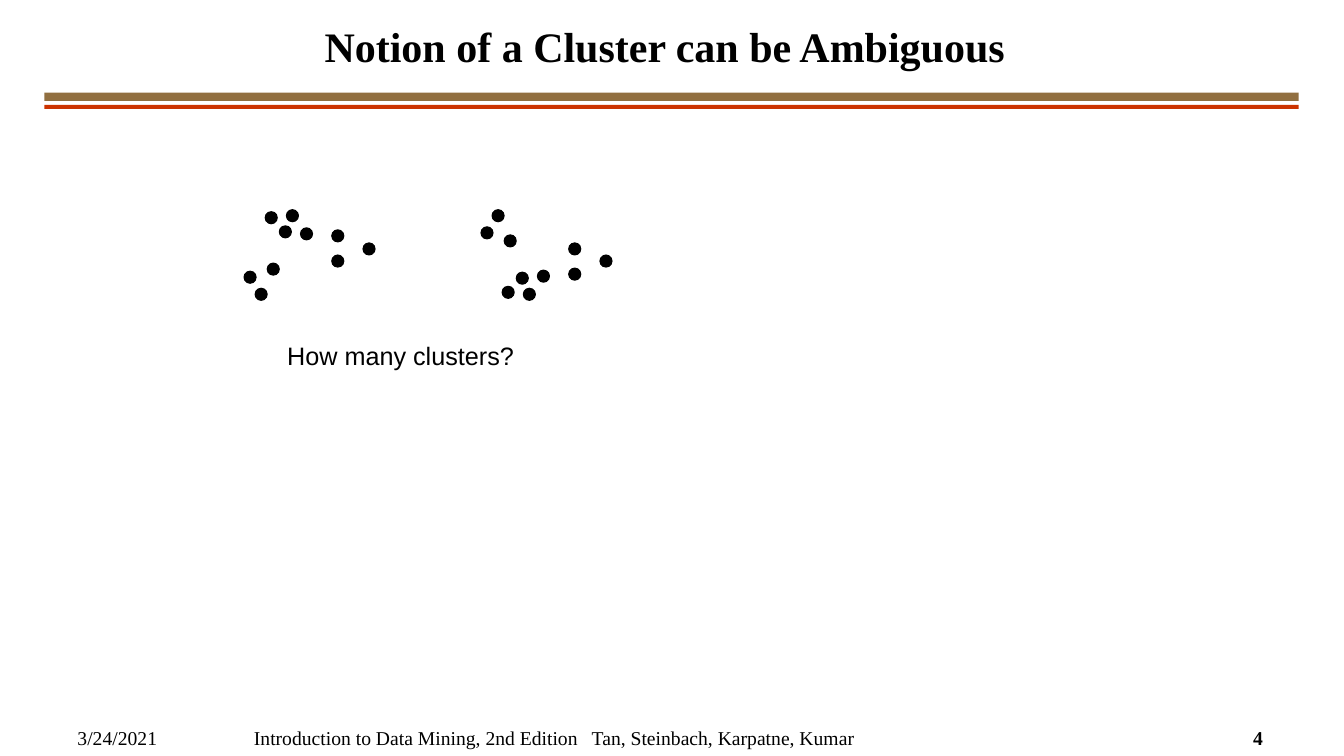
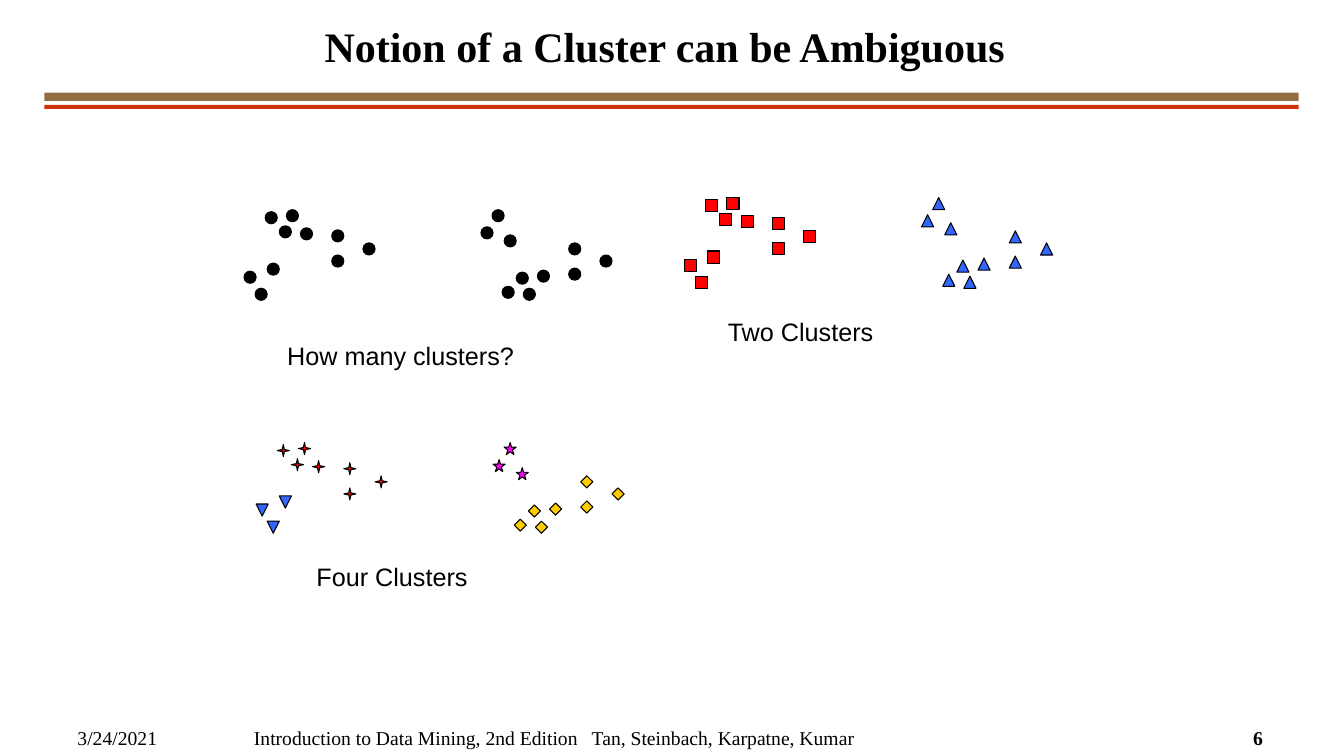
"""Build two slides showing that the notion of a cluster can be ambiguous."""
from dataclasses import dataclass

from lxml import etree
from pptx import Presentation
from pptx.dml.color import RGBColor
from pptx.enum import shapes, text
from pptx.oxml import ns
from pptx.util import Inches, Pt

MARK = shapes.MSO_SHAPE


@dataclass(frozen=True)
class Theme:
    ink: str = "000000"
    brown: str = "916F40"
    rust: str = "CC3300"
    red: str = "FF0000"
    blue: str = "3366FF"
    magenta: str = "FF00FF"
    gold: str = "FFCC00"
    serif: str = "Times New Roman"
    sans: str = "Arial"
    title_size: int = 30
    caption_size: int = 18
    footer_size: int = 14


THEME = Theme()

TITLE = "Notion of a Cluster can be Ambiguous"
DATE = "3/24/2021"
FOOTER = "Introduction to Data Mining, 2nd Edition\tTan, Steinbach, Karpatne, Kumar"
FOOTER_TAB = 3.35
BANDS = [(0.92, 0.08, THEME.brown), (1.04, 0.04, THEME.rust)]

MAIN_POINTS = [(0.56, 0.18), (0.21, 0.02), (0.42, 0), (0.35, 0.16),
               (0.87, 0.2), (1.18, 0.33), (0.87, 0.45)]
TRIO_POINTS = [(0.23, 0.53), (0, 0.61), (0.11, 0.78)]
MARK_SIZE = 0.12
CLOUD_HEIGHT = 0.78
CLOUD_SHIFT = 2.35

DOT = (MARK.OVAL, THEME.ink)
SQUARE = (MARK.RECTANGLE, THEME.red)
TRIANGLE = (MARK.ISOSCELES_TRIANGLE, THEME.blue)
CROSS = (MARK.STAR_4_POINT, THEME.red)
WEDGE = (MARK.FLOWCHART_MERGE, THEME.blue)
DIAMOND = (MARK.DIAMOND, THEME.gold)
STAR = (MARK.STAR_5_POINT, THEME.magenta)

PANELS = [
    {"caption": "How many clusters?", "origin": (2.42, 2.08),
     "caption_at": (2.75, 3.33), "left": (DOT, DOT), "right": (DOT, DOT)},
    {"caption": "Two Clusters", "origin": (6.79, 1.96),
     "caption_at": (7.12, 3.09), "left": (SQUARE, SQUARE),
     "right": (TRIANGLE, TRIANGLE)},
    {"caption": "Four Clusters", "origin": (2.54, 4.39),
     "caption_at": (3.04, 5.52), "left": (CROSS, WEDGE),
     "right": (DIAMOND, STAR)},
]
SLIDES = [(4, PANELS[:1]), (6, PANELS)]


def add_text(page, at, words, size, font=THEME.serif, bold=False, tab=None):
    box = page.shapes.add_textbox(*map(Inches, at))
    box.text_frame.word_wrap = True
    para = box.text_frame.paragraphs[0]
    para.text = words
    if tab:
        stops = etree.SubElement(para._p.get_or_add_pPr(), ns.qn("a:tabLst"))
        etree.SubElement(stops, ns.qn("a:tab"), pos=str(Inches(tab)), algn="l")
    para.font.name = font
    para.font.size = Pt(size)
    para.font.bold = bold
    para.font.color.rgb = RGBColor.from_string(THEME.ink)
    return box


def add_filled(page, kind, at, color, outlined=False):
    shape = page.shapes.add_shape(kind, *map(Inches, at))
    shape.shadow.inherit = False
    shape.fill.solid()
    shape.fill.fore_color.rgb = RGBColor.from_string(color)
    if outlined:
        shape.line.color.rgb = RGBColor.from_string(THEME.ink)
        shape.line.width = Pt(0.75)
    else:
        shape.line.fill.background()
    return shape


def add_frame(page, number):
    for top, height, color in BANDS:
        add_filled(page, MARK.RECTANGLE, (0.44, top, 12.44, height), color)
    size = THEME.footer_size
    add_text(page, (0.67, 7.15, 1.78, 0.34), DATE, size)
    add_text(page, (2.42, 7.15, 7.11, 0.34), FOOTER, size, tab=FOOTER_TAB)
    add_text(page, (12.33, 7.15, 0.44, 0.34), str(number), size, bold=True)
    title = add_text(page, (0.56, 0.17, 12.07, 0.58), TITLE, THEME.title_size, bold=True)
    title.text_frame.vertical_anchor = text.MSO_ANCHOR.BOTTOM
    para = title.text_frame.paragraphs[0]
    para.alignment = text.PP_ALIGN.CENTER
    para.line_spacing = Pt(36)


def add_cloud(group, origin, marks, mirrored):
    left, top = origin
    for (kind, color), points in zip(marks, (MAIN_POINTS, TRIO_POINTS)):
        for x, y in points:
            if mirrored:
                x, y = x + CLOUD_SHIFT, CLOUD_HEIGHT - y
            at = (left + x, top + y, MARK_SIZE, MARK_SIZE)
            mark = add_filled(group, kind, at, color, outlined=True)
            if kind == MARK.STAR_4_POINT:
                mark.adjustments[0] = 0.125


def add_panel(page, panel):
    group = page.shapes.add_group_shape()
    add_cloud(group, panel["origin"], panel["left"], mirrored=False)
    add_cloud(group, panel["origin"], panel["right"], mirrored=True)
    add_text(group, (*panel["caption_at"], 2.5, 0.4), panel["caption"],
             THEME.caption_size, THEME.sans)


def main():
    deck = Presentation()
    deck.slide_width, deck.slide_height = Inches(13.33), Inches(7.5)
    for number, panels in SLIDES:
        page = deck.slides.add_slide(deck.slide_layouts[6])
        add_frame(page, number)
        for panel in panels:
            add_panel(page, panel)
    deck.save("out.pptx")


if __name__ == "__main__":
    main()
